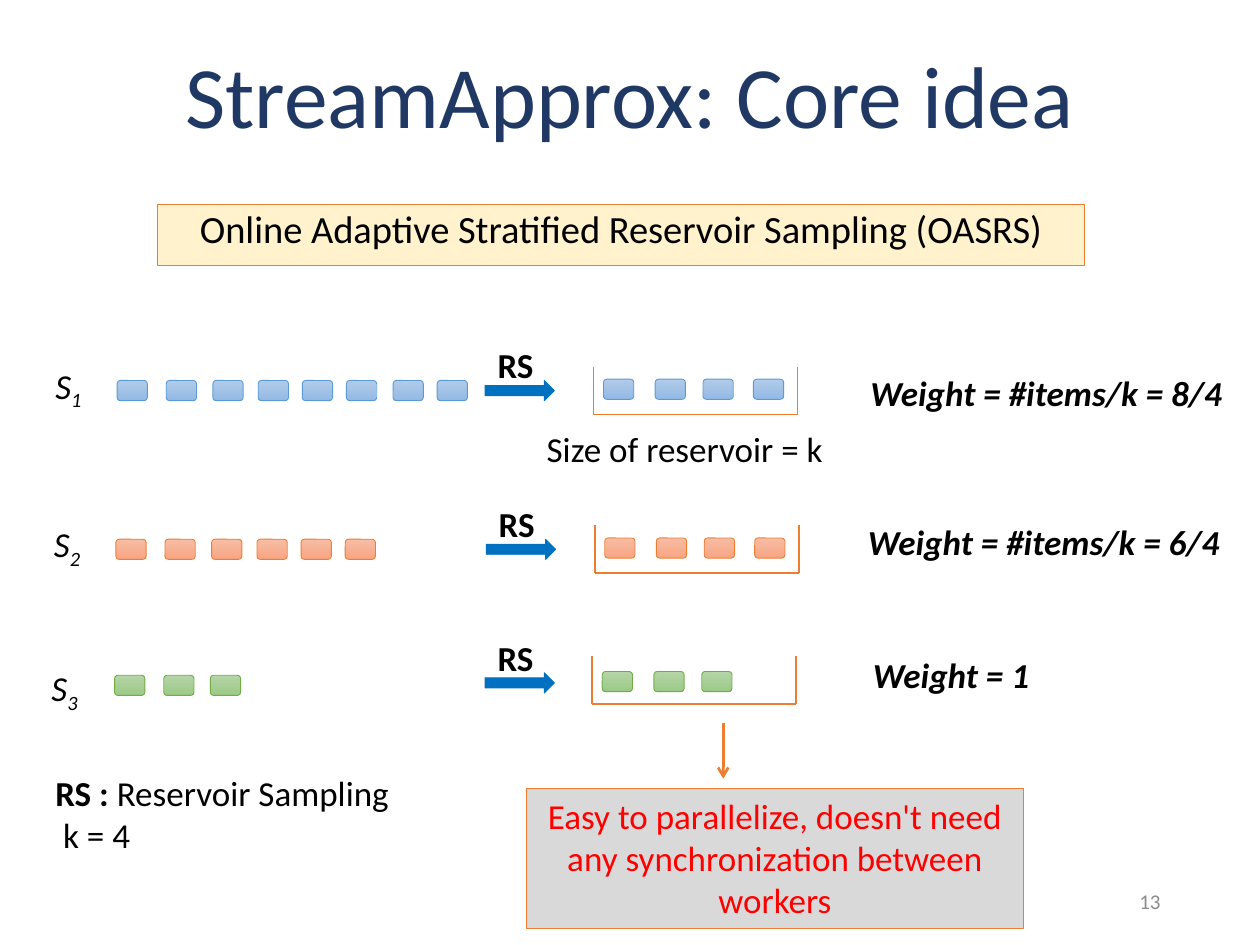
from dataclasses import dataclass

from lxml import etree
from pptx import Presentation
from pptx.dml.color import RGBColor
from pptx.enum.shapes import MSO_CONNECTOR as Connector, MSO_SHAPE as Shape
from pptx.enum.text import MSO_ANCHOR as Anchor, MSO_AUTO_SIZE as AutoSize, PP_ALIGN as Align
from pptx.oxml.ns import qn
from pptx.util import Inches, Pt


@dataclass(frozen=True)
class Theme:
    font: str = "Calibri"
    title: str = "203864"
    text: str = "000000"
    alert: str = "FF0000"
    muted: str = "8C8C8C"
    accent: str = "ED7D31"
    arrow: str = "0070C0"
    banner: str = "FFF2CC"
    callout: str = "D9D9D9"
    title_size: int = 50
    banner_size: int = 22
    body_size: int = 20
    number_size: int = 12


@dataclass(frozen=True)
class Palette:
    """Gradient ends and outline of the items in one stream."""
    light: str
    dark: str
    line: str


@dataclass(frozen=True)
class Stream:
    number: str
    palette: Palette
    received: int
    kept: int
    weight: str
    items_at: tuple
    arrow_at: tuple
    tray_at: tuple
    name_at: tuple
    weight_at: tuple


BLUE = Palette("B1CBE9", "93B9E4", "5B9BD5")
ORANGE = Palette("F7BDA5", "F8A582", "ED7D31")
GREEN = Palette("B5D5A7", "9CC987", "70AD47")

STREAMS = (
    Stream("1", BLUE, 8, 4, "Weight = #items/k = 8/4", (0.93, 3.02), (3.85, 3.02),
           (4.71, 2.91), (0.34, 2.84), (6.81, 2.9)),
    Stream("2", ORANGE, 6, 4, "Weight = #items/k = 6/4", (0.92, 4.28), (3.86, 4.28),
           (4.72, 4.17), (0.33, 4.1), (6.79, 4.08)),
    Stream("3", GREEN, 3, 3, "Weight = 1", (0.91, 5.36), (3.85, 5.34),
           (4.7, 5.21), (0.31, 5.24), (6.83, 5.14)),
)
RECEIVED_OFFSETS = (0, 0.39, 0.76, 1.12, 1.47, 1.82, 2.19, 2.54)
KEPT_OFFSETS = (0, 0.41, 0.79, 1.19)
TRAY_WIDTH, TRAY_HEIGHT = 1.62, 0.38


class Painter:
    def __init__(self, page, theme):
        self.page = page
        self.theme = theme

    def fill_text(self, box, paragraphs, size=None, color=None, align=Align.LEFT,
                  anchor=Anchor.TOP, spacing=None):
        """Fill a box; each paragraph is a list of (text, style letters b, i, s for subscript)."""
        frame = box.text_frame
        frame.word_wrap = True
        frame.auto_size = AutoSize.NONE
        frame.vertical_anchor = anchor
        for index, spans in enumerate(paragraphs):
            para = frame.paragraphs[0] if index == 0 else frame.add_paragraph()
            para.alignment = align
            if spacing:
                para.line_spacing = spacing
            for text, style in spans:
                span = para.add_run()
                span.text = text
                font = span.font
                font.name = self.theme.font
                font.size = Pt(size or self.theme.body_size)
                font.color.rgb = RGBColor.from_string(color or self.theme.text)
                font.bold = "b" in style
                font.italic = "i" in style
                if "s" in style:
                    font._element.set("baseline", "-25000")

    def label(self, left, top, width, height, paragraphs, wrap=True, **style):
        box = self.page.shapes.add_textbox(*map(Inches, (left, top, width, height)))
        self.fill_text(box, paragraphs, **style)
        box.text_frame.word_wrap = wrap

    def shape(self, kind, left, top, width, height, line, fill=None):
        box = self.page.shapes.add_shape(kind, *map(Inches, (left, top, width, height)))
        box.shadow.inherit = False
        box.line.color.rgb = RGBColor.from_string(line)
        box.line.width = Pt(0.5)
        if fill:
            box.fill.solid()
            box.fill.fore_color.rgb = RGBColor.from_string(fill)
        return box

    def panel(self, left, top, width, height, fill, text, **style):
        box = self.shape(Shape.RECTANGLE, left, top, width, height, self.theme.accent, fill)
        self.fill_text(box, [[(text, "")]], align=Align.CENTER, **style)

    def item(self, left, top, palette):
        box = self.shape(Shape.ROUNDED_RECTANGLE, left, top, 0.24, 0.16, palette.line)
        box.fill.gradient()
        box.fill.gradient_angle = 270
        for stop, color in zip(box.fill.gradient_stops, (palette.light, palette.dark)):
            stop.color.rgb = RGBColor.from_string(color)

    def line(self, start, end, width=1, arrow=False):
        ends = map(Inches, (*start, *end))
        connector = self.page.shapes.add_connector(Connector.STRAIGHT, *ends)
        connector.line.color.rgb = RGBColor.from_string(self.theme.accent)
        connector.line.width = Pt(width)
        properties = connector._element.spPr
        if arrow:
            etree.SubElement(properties.find(qn("a:ln")), qn("a:tailEnd"), type="arrow")
        etree.SubElement(properties, qn("a:effectLst"))

    def tray(self, left, top):
        """Draw the open-topped reservoir."""
        right, bottom = left + TRAY_WIDTH, top + TRAY_HEIGHT
        corners = ((left, top), (left, bottom), (right, bottom), (right, top))
        for start, end in zip(corners, corners[1:]):
            self.line(start, end)

    def stream(self, stream):
        left, top = stream.items_at
        for offset in RECEIVED_OFFSETS[:stream.received]:
            self.item(left + offset, top, stream.palette)

        left, top = stream.arrow_at
        self.shape(Shape.RIGHT_ARROW, left, top, 0.55, 0.16, self.theme.arrow, self.theme.arrow)
        self.label(left, top - 0.34, 0.62, 0.44, [[("RS", "b")]])

        tray_left = stream.tray_at[0]
        for offset in KEPT_OFFSETS[:stream.kept]:
            self.item(tray_left + 0.08 + offset, top - 0.01, stream.palette)
        self.tray(*stream.tray_at)

        self.label(*stream.name_at, 0.45, 0.44, [[("S", "i"), (stream.number, "is")]])
        self.label(*stream.weight_at, 3.05, 0.44, [[(stream.weight, "bi")]])


def main():
    deck = Presentation()
    deck.slide_width, deck.slide_height = Inches(10), Inches(7.5)
    theme = Theme()
    painter = Painter(deck.slides.add_slide(deck.slide_layouts[6]), theme)

    painter.label(0.69, 0.3, 8.62, 0.99, [[("StreamApprox: Core idea", "")]],
                  size=theme.title_size, color=theme.title, align=Align.CENTER,
                  anchor=Anchor.MIDDLE, spacing=0.9)
    painter.label(7.06, 6.95, 2.25, 0.4, [[("13", "")]], size=theme.number_size,
                  color=theme.muted, align=Align.RIGHT, anchor=Anchor.MIDDLE)
    painter.panel(1.25, 1.62, 7.36, 0.49, theme.banner,
                  "Online Adaptive Stratified Reservoir Sampling (OASRS)",
                  size=theme.banner_size, spacing=0.9)

    for stream in STREAMS:
        painter.stream(stream)
    painter.label(4.24, 3.34, 2.42, 0.44, [[("Size of reservoir = k", "")]], wrap=False)

    painter.line((5.74, 5.74), (5.74, 6.18), width=1.5, arrow=True)
    painter.panel(4.18, 6.26, 3.94, 1.11, theme.callout,
                  "Easy to parallelize, doesn't need any synchronization between workers",
                  color=theme.alert)
    painter.label(0.34, 6.07, 3.08, 0.77,
                  [[("RS : ", "b"), ("Reservoir Sampling", "")], [(" k = 4", "")]])
    deck.save("out.pptx")


if __name__ == "__main__":
    main()
